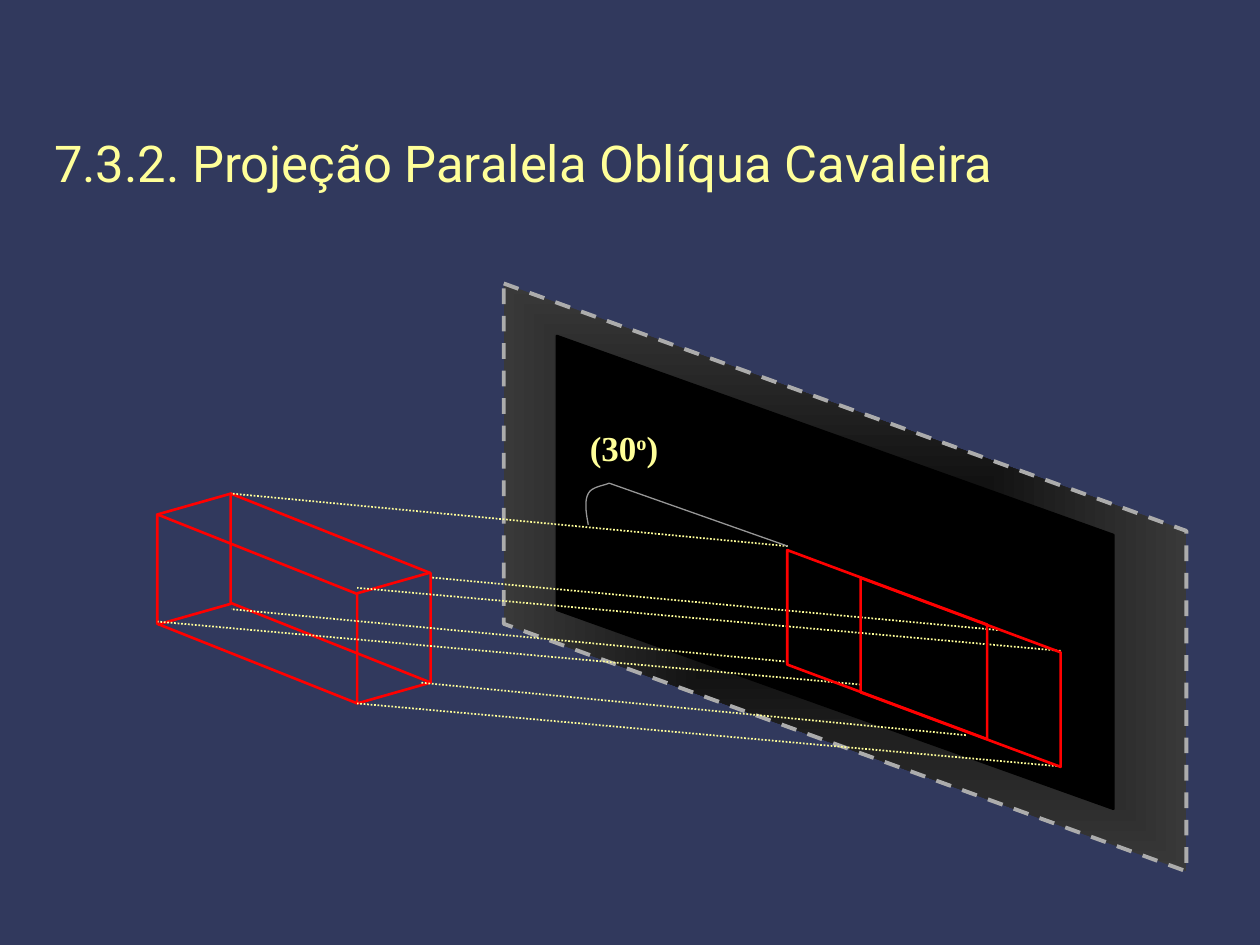
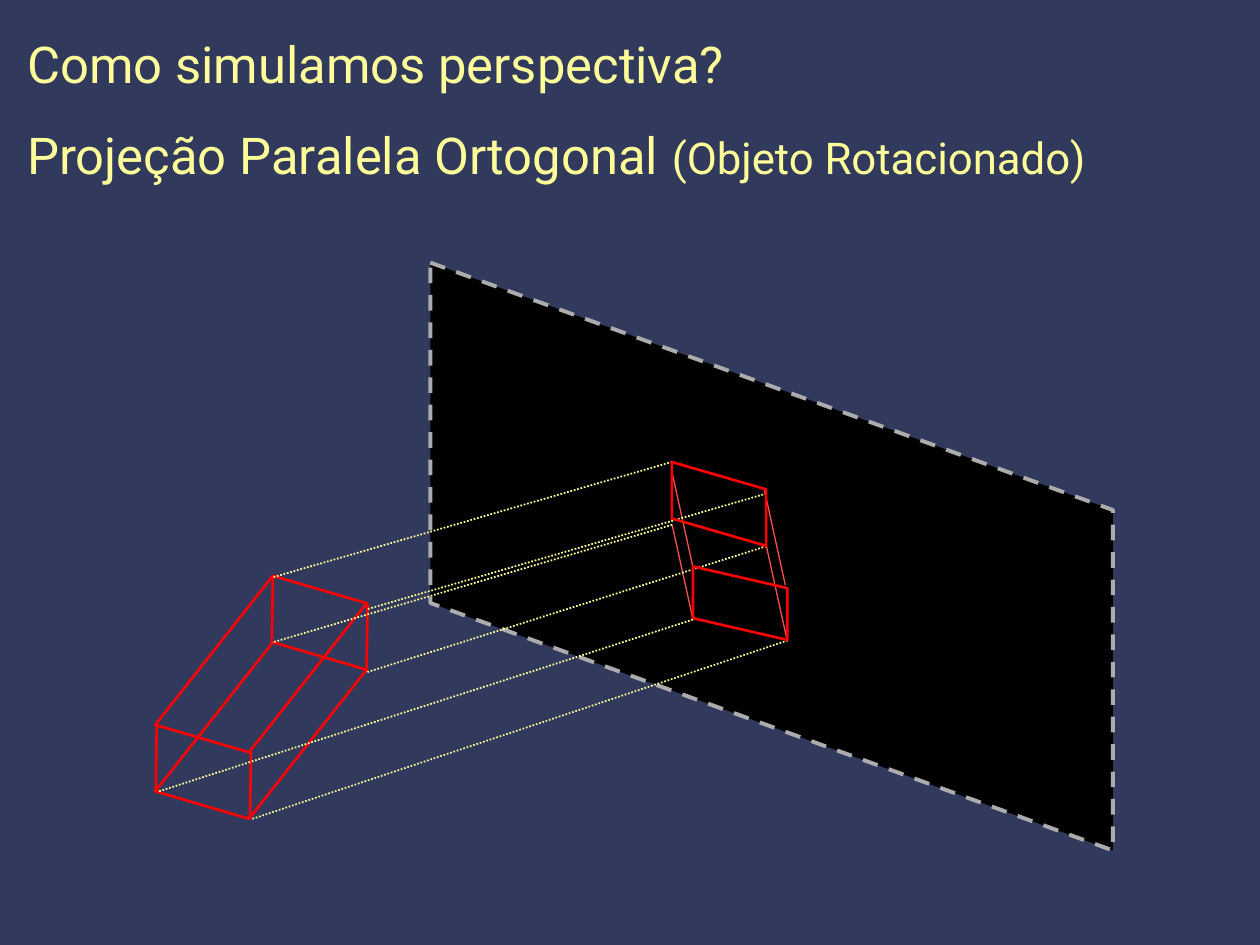
import lxml.etree
import pptx
import pptx.dml.color
import pptx.enum.dml
import pptx.enum.shapes
import pptx.enum.text
import pptx.oxml.ns
import pptx.util

Cm, Pt = pptx.util.Cm, pptx.util.Pt
qn = pptx.oxml.ns.qn
color = pptx.dml.color.RGBColor.from_string
DASH = pptx.enum.dml.MSO_LINE

# Shared look
BACKGROUND, YELLOW, BLACK, DARK_GREY = "31395D", "FFFF99", "000000", "393939"
TITLE_FONT, LABEL_FONT = "Roboto", "Times New Roman"
STROKES = {
    "screen": ("ACACAC", {"width": Pt(2.25), "dash_style": DASH.DASH}),
    "inner": (BLACK, {"width": Pt(1.5)}),
    "object": ("FF0000", {"width": Pt(1.5)}),
    "ray": (YELLOW, {"width": Pt(1), "dash_style": DASH.ROUND_DOT}),
    "depth": ("FF5050", {"width": Pt(0.75)}),
    "angle": ("969696", {"width": Pt(0.75)}),
}
SCREEN_SIZE = (11.85, 13.76)
PRISM_SIZE = (3.81, 4.03)
ROTATED_SIZE = (3.4, 3.55)


def apply_stroke(line, stroke):
    hex_color, values = STROKES[stroke]
    line.color.rgb = color(hex_color)
    for name, value in values.items():
        setattr(line, name, value)


def add_parallelogram(page, stroke, corner, size, skew=0.421, turn=90, fill=None):
    shape = page.shapes.add_shape(
        pptx.enum.shapes.MSO_SHAPE.PARALLELOGRAM, *map(Cm, corner + size))
    shape.rotation = turn
    shape.adjustments[0] = skew
    shape.shadow.inherit = False
    if fill:
        shape.fill.solid()
        shape.fill.fore_color.rgb = color(fill)
    else:
        shape.fill.background()
    apply_stroke(shape.line, stroke)
    return shape


deck = pptx.Presentation()
deck.slide_width, deck.slide_height = Cm(25.4), Cm(19.05)

# Each page: title corner, title paragraphs as (text, size) spans
titles = [
    ((0.84, 2.54), [[("7.3.2. Projeção Paralela Oblíqua Cavaleira", 29)]]),
    ((0.3, 0.53), [[("Como simulamos perspectiva?", 29)],
                   [("Projeção Paralela Ortogonal ", 29), ("(Objeto Rotacionado)", 25)]]),
]
pages = []
for corner, paragraphs in titles:
    page = deck.slides.add_slide(deck.slide_layouts[6])
    page.background.fill.solid()
    page.background.fill.fore_color.rgb = color(BACKGROUND)
    box = page.shapes.add_textbox(*map(Cm, corner), Cm(24.56), Cm(1.7))
    box.text_frame.word_wrap = True
    for index, spans in enumerate(paragraphs):
        para = box.text_frame.add_paragraph() if index else box.text_frame.paragraphs[0]
        properties = para._p.get_or_add_pPr()
        properties.set("marL", str(Cm(0.95)))
        properties.set("indent", str(-Cm(0.95)))
        spacing = lxml.etree.SubElement(properties, qn("a:spcBef"))
        lxml.etree.SubElement(spacing, qn("a:spcPct")).set("val", "60000")
        for text, size in spans:
            span = para.add_run()
            span.text = text
            for name, value in {"name": TITLE_FONT, "size": Pt(size)}.items():
                setattr(span.font, name, value)
            span.font.color.rgb = color(YELLOW)
    pages.append(page)
oblique, orthogonal = pages

# Projection screens
screen = add_parallelogram(oblique, "screen", (11.11, 4.76), SCREEN_SIZE)
screen.fill.gradient()
for stop, hex_color in zip(screen.fill.gradient_stops, (BLACK, DARK_GREY)):
    stop.color.rgb = color(hex_color)
gradient = screen.element.spPr.find(qn("a:gradFill"))
gradient.remove(gradient.find(qn("a:lin")))
shading = lxml.etree.SubElement(gradient, qn("a:path"), {"path": "shape"})
lxml.etree.SubElement(shading, qn("a:fillToRect"), dict.fromkeys("ltrb", "50000"))
add_parallelogram(oblique, "inner", (12.07, 5.93), (9.53, 11.22), fill=BLACK)
add_parallelogram(orthogonal, "screen", (9.63, 4.34), SCREEN_SIZE, fill=BLACK)

# Faces of the solids
for corner in [(3.28, 10.26), (4.76, 9.84)]:
    add_parallelogram(oblique, "object", corner, PRISM_SIZE)
for corner in [(3.56, 11.61), (3.56, 12.95)]:
    add_parallelogram(orthogonal, "object", corner, ROTATED_SIZE, turn=196.3)

# Parallel edges: starting points that share one run and rise
edges = [
    (oblique, "object", (1.48, -0.42),
     [(3.18, 10.37), (7.2, 11.96), (3.18, 12.59), (7.2, 14.18)]),
    (orthogonal, "object", (-0.02, 1.35),
     [(7.41, 12.17), (5.06, 15.16), (5.5, 11.61), (3.16, 14.61)]),
    (orthogonal, "depth", (0.42, 1.91),
     [(15.41, 9.88), (13.55, 10.58), (15.45, 11.01), (13.55, 9.53)]),
]
lines = [(page, stroke, x, y, x + run, y + rise)
         for page, stroke, (run, rise), starts in edges for x, y in starts]

# Rays from the screen back to the solid
rays = [
    (oblique, [
        (15.88, 11.01, 4.66, 9.95), (20.11, 12.7, 8.68, 11.64),
        (19.47, 14.82, 8.47, 13.76), (15.88, 13.34, 4.66, 12.28),
        (21.38, 15.45, 7.2, 14.18), (21.38, 13.12, 7.2, 11.85),
        (17.35, 13.8, 3.18, 12.53)]),
    (orthogonal, [
        (13.55, 9.31, 5.49, 11.64), (15.45, 9.95, 7.4, 12.28),
        (15.45, 11.01, 7.4, 13.55), (13.55, 10.58, 5.49, 12.95),
        (15.88, 12.91, 5.08, 16.51), (13.97, 12.49, 3.18, 15.96)]),
]
lines += [(page, "ray", *ends) for page, group in rays for ends in group]
lines.append((oblique, "angle", 15.88, 11.01, 12.28, 9.74))
for page, stroke, *ends in lines:
    connector = page.shapes.add_connector(
        pptx.enum.shapes.MSO_CONNECTOR.STRAIGHT, *map(Cm, ends))
    lxml.etree.SubElement(connector.element.spPr, qn("a:effectLst"))
    apply_stroke(connector.line, stroke)

# Projected faces
for corner in [(17.46, 11.54), (15.98, 10.98)]:
    add_parallelogram(oblique, "object", corner, PRISM_SIZE, skew=0.394)
add_parallelogram(orthogonal, "object", (13.65, 9.21), (1.69, 1.9), skew=0.326)
add_parallelogram(orthogonal, "object", (14.18, 11.21), (1.48, 1.9), skew=0.295)

# Angle arc, sampled from two cubic curves
curves = [
    [(11.86, 10.58), (11.81, 10.33), (11.78, 10.09), (11.86, 9.95)],
    [(11.86, 9.95), (11.92, 9.81), (12.22, 9.78), (12.28, 9.74)],
]
STEPS = 8
arc_points = []
for curve in curves:
    for step in range(1, STEPS + 1):
        t = step / STEPS
        weights = ((1 - t) ** 3, 3 * t * (1 - t) ** 2, 3 * t * t * (1 - t), t ** 3)
        arc_points.append(tuple(
            Cm(sum(weight * value for weight, value in zip(weights, axis)))
            for axis in zip(*curve)))
builder = oblique.shapes.build_freeform(*map(Cm, curves[0][0]))
builder.add_line_segments(arc_points, close=False)
arc = builder.convert_to_shape()
arc.shadow.inherit = False
arc.fill.background()
apply_stroke(arc.line, "angle")

# Angle label
label = oblique.shapes.add_textbox(Cm(11.64), Cm(8.47), Cm(1.91), Cm(1.1))
label.text_frame.word_wrap = False
label.text_frame.auto_size = pptx.enum.text.MSO_AUTO_SIZE.SHAPE_TO_FIT_TEXT
for text, baseline in [("(30", 0), ("o", 30000), (")", 0)]:
    span = label.text_frame.paragraphs[0].add_run()
    span.text = text
    for name, value in {"name": LABEL_FONT, "size": Pt(20), "bold": True}.items():
        setattr(span.font, name, value)
    span.font.color.rgb = color(YELLOW)
    if baseline:
        span._r.get_or_add_rPr().set("baseline", str(baseline))

deck.save("out.pptx")
